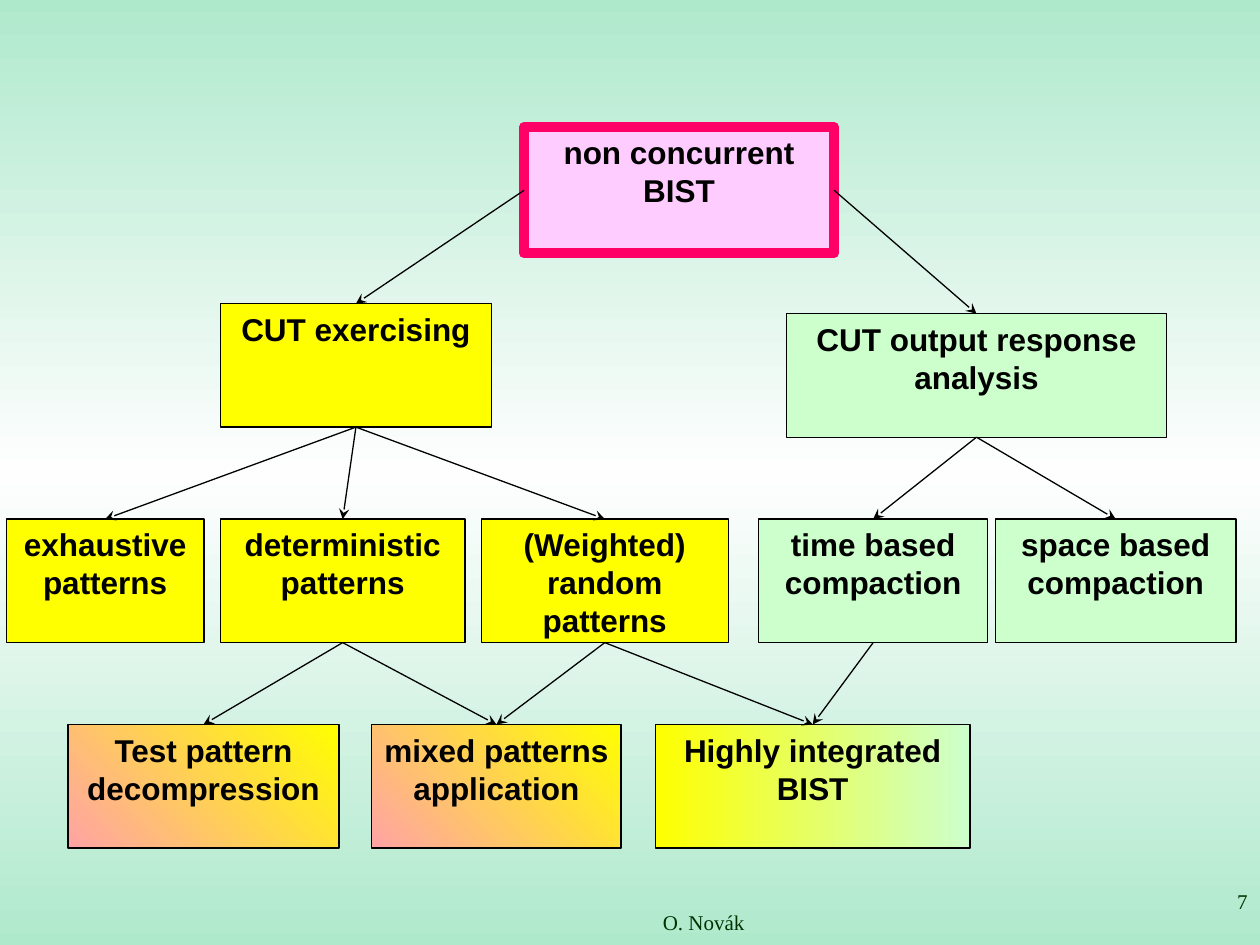
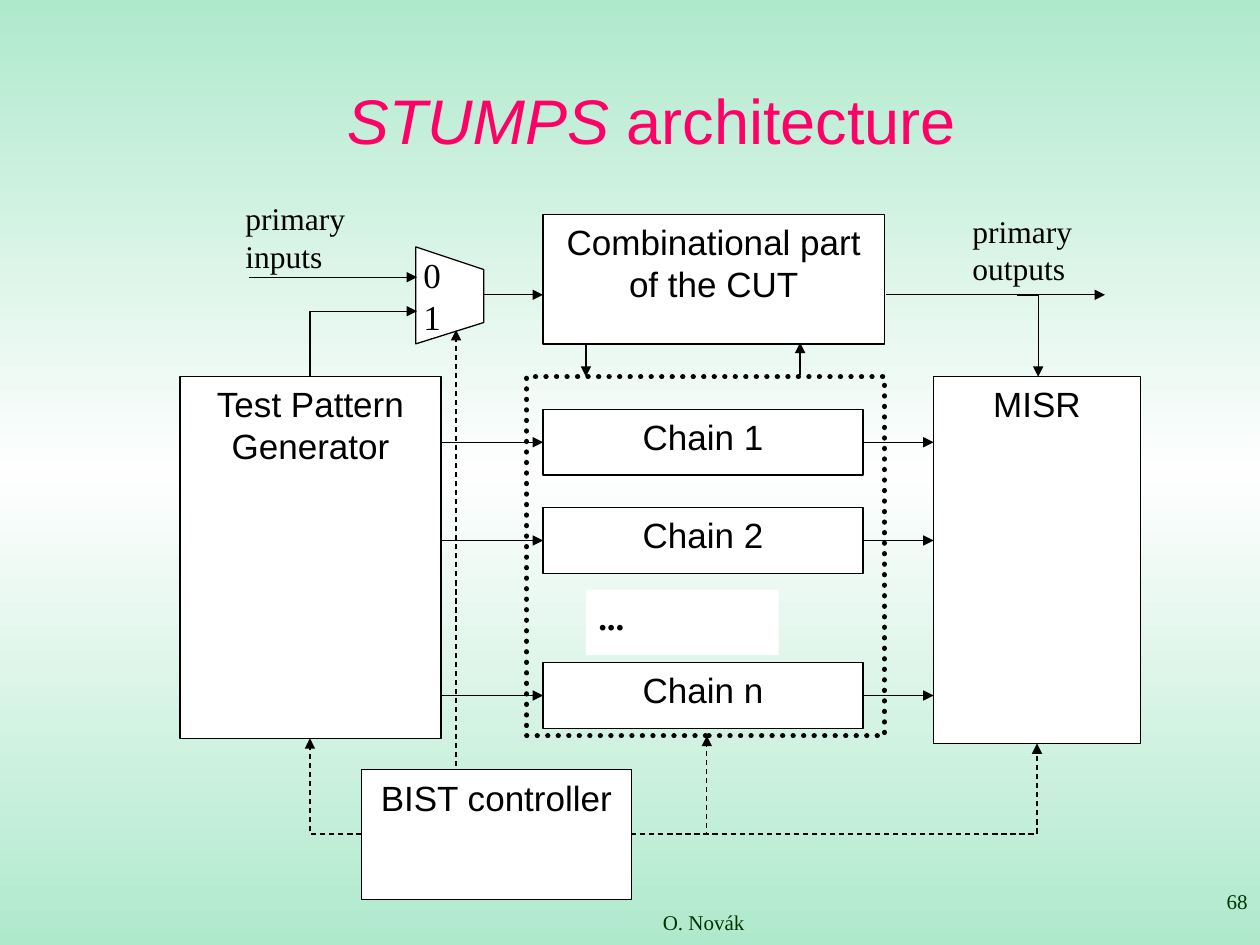
import copy

import lxml.etree
import pptx
import pptx.dml.color
import pptx.enum.dml
import pptx.enum.shapes
import pptx.enum.text
import pptx.oxml.ns
import pptx.util

PX = 9144  # 100 px to the inch
BLACK, WHITE, PINK = "000000", "FFFFFF", "FF0066"
YELLOW, GREEN, ROSE = "FFFF00", "CCFFCC", "FFA3A5"
EDGE_GREEN, FOOTER_GREEN = "AFE9CC", "003300"
SANS, SERIF = "Arial", "Times New Roman"

SHAPE = pptx.enum.shapes.MSO_SHAPE
CONNECTOR = pptx.enum.shapes.MSO_CONNECTOR
ALIGN = pptx.enum.text.PP_ALIGN
ANCHOR = pptx.enum.text.MSO_ANCHOR
DASH = pptx.enum.dml.MSO_LINE
qn = pptx.oxml.ns.qn


def paint(fill, *colours, angle=0):
    """No colour clears the fill, one makes it solid, more make a gradient."""
    if not colours:
        fill.background()
    elif len(colours) == 1:
        fill.solid()
        fill.fore_color.rgb = pptx.dml.color.RGBColor.from_string(colours[0])
    else:
        fill.gradient()
        fill.gradient_angle = angle
        for stop, colour in zip(fill.gradient_stops, colours):
            stop.color.rgb = pptx.dml.color.RGBColor.from_string(colour)


def write(frame, text, font=SANS, size=18, colour=BLACK, bold=False,
          italic=False, align=ALIGN.CENTER, anchor=ANCHOR.TOP):
    """Continue the last paragraph; each line break starts a new one."""
    frame.word_wrap = True
    frame.vertical_anchor = anchor
    for number, line in enumerate(text.split("\n")):
        paragraph = frame.add_paragraph() if number else frame.paragraphs[-1]
        paragraph.alignment = align
        run = paragraph.add_run()
        run.text = line
        run.font.name, run.font.size = font, pptx.util.Pt(size)
        run.font.bold, run.font.italic = bold, italic
        paint(run.font.fill, colour)


prs = pptx.Presentation()
prs.slide_width, prs.slide_height = 1000 * PX, 750 * PX

# Shared background: green at both edges, near white in the middle
backdrop = prs.slide_master.background.fill
paint(backdrop, EDGE_GREEN, "FEFEFE", angle=270)
stops = prs.slide_master.element.find(".//" + qn("a:gsLst"))
stops.append(copy.deepcopy(stops[0]))
for stop, position in zip(backdrop.gradient_stops, (0, 0.5, 1)):
    stop.position = position

tree = prs.slides.add_slide(prs.slide_layouts[6])
stumps = prs.slides.add_slide(prs.slide_layouts[5])

title = stumps.shapes.title
title.left, title.top, title.width, title.height = (v * PX for v in (92, 60, 850, 70))
title.text_frame.auto_size = pptx.enum.text.MSO_AUTO_SIZE.NONE
for words, slanted in (("STUMPS", True), (" architecture", False)):
    write(title.text_frame, words, size=36, colour=PINK, italic=slanted,
          anchor=ANCHOR.BOTTOM)

# Boxes: text, left, top, width, height, fill colours, gradient angle
PATTERN_ROW, RESULT_ROW, TREE_H = 412, 575, 98
tree_boxes = [
    ("non concurrent\nBIST", 416, 101, 246, 100, ["FFCCFF"], 0),
    ("CUT exercising", 175, 241, 215, TREE_H, [YELLOW], 0),
    ("CUT output response analysis", 624, 249, 302, TREE_H, [GREEN], 0),
    ("exhaustive\npatterns", 5, PATTERN_ROW, 157, TREE_H, [YELLOW], 0),
    ("deterministic\npatterns", 175, PATTERN_ROW, 194, TREE_H, [YELLOW], 0),
    ("(Weighted) random patterns", 382, PATTERN_ROW, 196, TREE_H, [YELLOW], 0),
    ("time based compaction", 602, PATTERN_ROW, 182, TREE_H, [GREEN], 0),
    ("space based compaction", 790, PATTERN_ROW, 191, TREE_H, [GREEN], 0),
    ("Test pattern decompression", 54, RESULT_ROW, 215, TREE_H, [YELLOW, ROSE], 225),
    ("mixed patterns application", 295, RESULT_ROW, 198, TREE_H, [YELLOW, ROSE], 225),
    ("Highly integrated BIST", 520, RESULT_ROW, 250, TREE_H, [GREEN, YELLOW], 180),
]
CHAIN_H = 52
chain_tops = {"Chain 1": 325, "Chain 2": 403, "Chain n": 526}
stumps_boxes = [
    ("", 418, 299, 284, 285, [], 0),
    ("Test Pattern Generator", 143, 299, 207, 287, [WHITE], 0),
    ("BIST controller", 287, 611, 214, 103, [WHITE], 0),
    ("Combinational part of the CUT", 431, 170, 271, 103, [WHITE], 0),
    ("MISR", 741, 299, 164, 291, [WHITE], 0),
] + [(chain, 431, top, 254, CHAIN_H, [WHITE], 0) for chain, top in chain_tops.items()]

boxes = {}
for slide, size, bold, specs in ((tree, 18, True, tree_boxes),
                                 (stumps, 20, False, stumps_boxes)):
    for text, left, top, width, height, colours, angle in specs:
        box = slide.shapes.add_shape(SHAPE.RECTANGLE, left * PX, top * PX,
                                     width * PX, height * PX)
        box.shadow.inherit = False
        paint(box.fill, *colours, angle=angle)
        paint(box.line.fill, BLACK)
        box.line.width = pptx.util.Pt(0.75)
        if text:
            write(box.text_frame, text, size=size, bold=bold)
        boxes[text] = box

root = boxes["non concurrent\nBIST"]
paint(root.line.fill, PINK)
root.line.width = pptx.util.Pt(6)

scan_frame = boxes[""]
scan_frame.line.width = pptx.util.Pt(3)
scan_frame.line.dash_style = DASH.ROUND_DOT
scan_frame.element.find(".//" + qn("a:ln")).set("cap", "rnd")

outline = stumps.shapes.build_freeform(330, 273, scale=PX)
outline.add_line_segments([(330, 196), (384, 214), (384, 256)])
multiplexer = outline.convert_to_shape()
multiplexer.shadow.inherit = False
paint(multiplexer.fill, WHITE)
paint(multiplexer.line.fill, BLACK)
multiplexer.line.width = pptx.util.Pt(0.75)

# Arrows of the tree join connection sites of its boxes
LEFT, BOTTOM, RIGHT, TOP = 1, 2, 3, 0
branches = [
    ("non concurrent\nBIST", LEFT, ["CUT exercising"]),
    ("non concurrent\nBIST", RIGHT, ["CUT output response analysis"]),
    ("CUT exercising", BOTTOM, ["exhaustive\npatterns", "deterministic\npatterns",
                                "(Weighted) random patterns"]),
    ("CUT output response analysis", BOTTOM, ["time based compaction",
                                              "space based compaction"]),
    ("deterministic\npatterns", BOTTOM, ["Test pattern decompression",
                                         "mixed patterns application"]),
    ("(Weighted) random patterns", BOTTOM, ["mixed patterns application",
                                            "Highly integrated BIST"]),
    ("time based compaction", BOTTOM, ["Highly integrated BIST"]),
]
arrows = []
for parent, site, children in branches:
    for child in children:
        arrow = tree.shapes.add_connector(CONNECTOR.STRAIGHT, 0, 0, 0, 0)
        arrow.begin_connect(boxes[parent], site)
        arrow.end_connect(boxes[child], TOP)
        arrows.append((arrow, "stealth", "a:tailEnd", False))

# Signals: start, end, head end, dashed; a bent one runs across first, then up or down
straight_signals = [
    (703, 234, 877, 234, False),
    (384, 234, 431, 234, False),
    (198, 220, 331, 220, False),
    (465, 273, 465, 299, False),
    (635, 298, 635, 272, False),
    (362, 608, 362, 262, True),
]
for top in chain_tops.values():
    middle = top + CHAIN_H // 2
    straight_signals += [(350, middle, 431, middle, False), (686, middle, 741, middle, False)]
bent_signals = [
    (807, 234, 824, 299, "a:tailEnd", False),
    (331, 247, 246, 299, "a:headEnd", False),
    (501, 662, 823, 590, "a:tailEnd", True),
    (287, 662, 246, 586, "a:tailEnd", True),
    (501, 662, 561, 584, "a:tailEnd", True),
]
for *ends, dashed in straight_signals:
    arrow = stumps.shapes.add_connector(CONNECTOR.STRAIGHT, *(v * PX for v in ends))
    arrows.append((arrow, "triangle", "a:tailEnd", dashed))
for *ends, head_end, dashed in bent_signals:
    arrow = stumps.shapes.add_connector(CONNECTOR.ELBOW, *(v * PX for v in ends))
    arrow.element.find(".//" + qn("a:prstGeom")).set("prst", "bentConnector2")
    arrows.append((arrow, "triangle", head_end, dashed))

for arrow, head, head_end, dashed in arrows:
    paint(arrow.line.fill, BLACK)
    arrow.line.width = pptx.util.Pt(0.75)
    if dashed:
        arrow.line.dash_style = DASH.DASH
    outline_xml = arrow.element.find(".//" + qn("a:ln"))
    lxml.etree.SubElement(outline_xml, qn(head_end), type=head)
    lxml.etree.SubElement(arrow.element.spPr, qn("a:effectLst"))

# Captions and footers: slide, text, place, left inset, fill colours, format
labels = [
    (stumps, "...", (465, 468, 153, 52), 10, [WHITE],
     dict(size=20, bold=True, align=ALIGN.LEFT)),
    (stumps, "0\n1", (312, 196, 82, 78), 24, [], dict(size=20, align=ALIGN.LEFT)),
    (stumps, "primary inputs", (185, 153, 144, 47), 10, [], dict(align=ALIGN.LEFT)),
    (stumps, "primary outputs", (762, 163, 144, 40), 10, [], dict(align=ALIGN.LEFT)),
]
for slide, number in ((tree, "7"), (stumps, "68")):
    labels += [
        (slide, "O. Novák", (400, 717, 317, 25), 10, [],
         dict(size=12, colour=FOOTER_GREEN)),
        (slide, number, (792, 700, 208, 50), 10, [],
         dict(size=12, colour=FOOTER_GREEN, align=ALIGN.RIGHT)),
    ]
for slide, text, place, inset, colours, text_format in labels:
    label = slide.shapes.add_textbox(*(v * PX for v in place))
    paint(label.fill, *colours)
    label.text_frame.margin_left = inset * PX
    write(label.text_frame, text, font=SERIF, **text_format)

prs.save("out.pptx")
